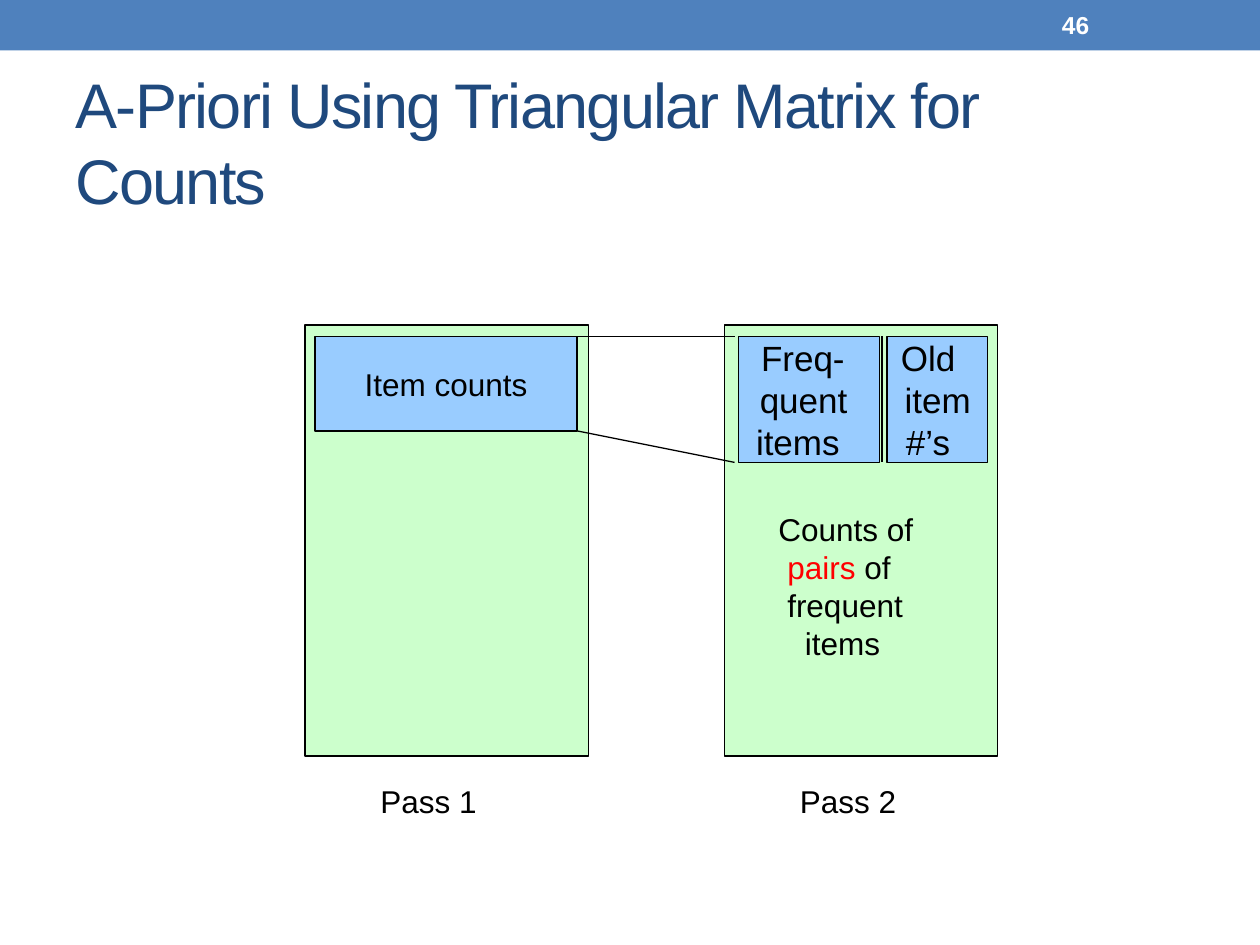
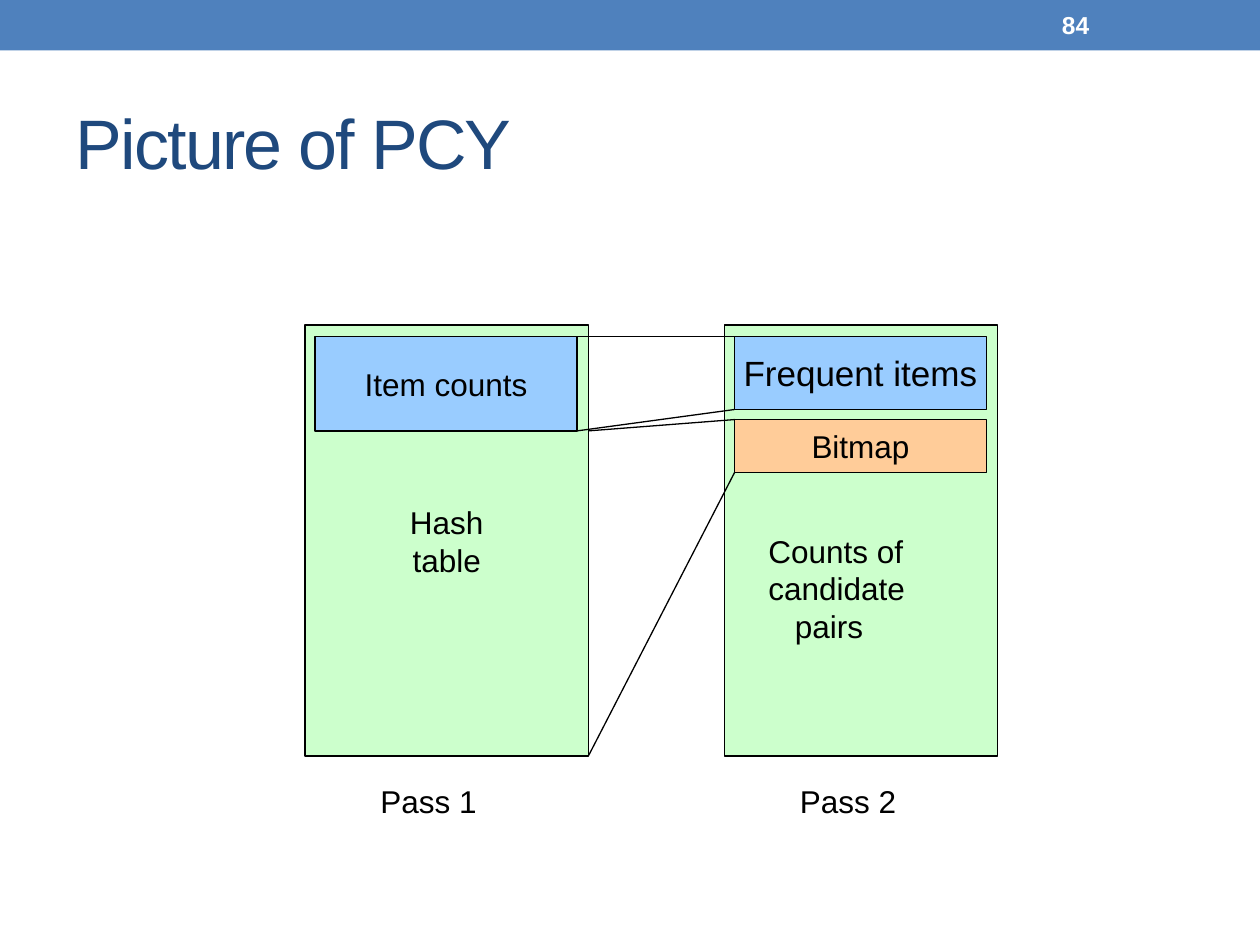
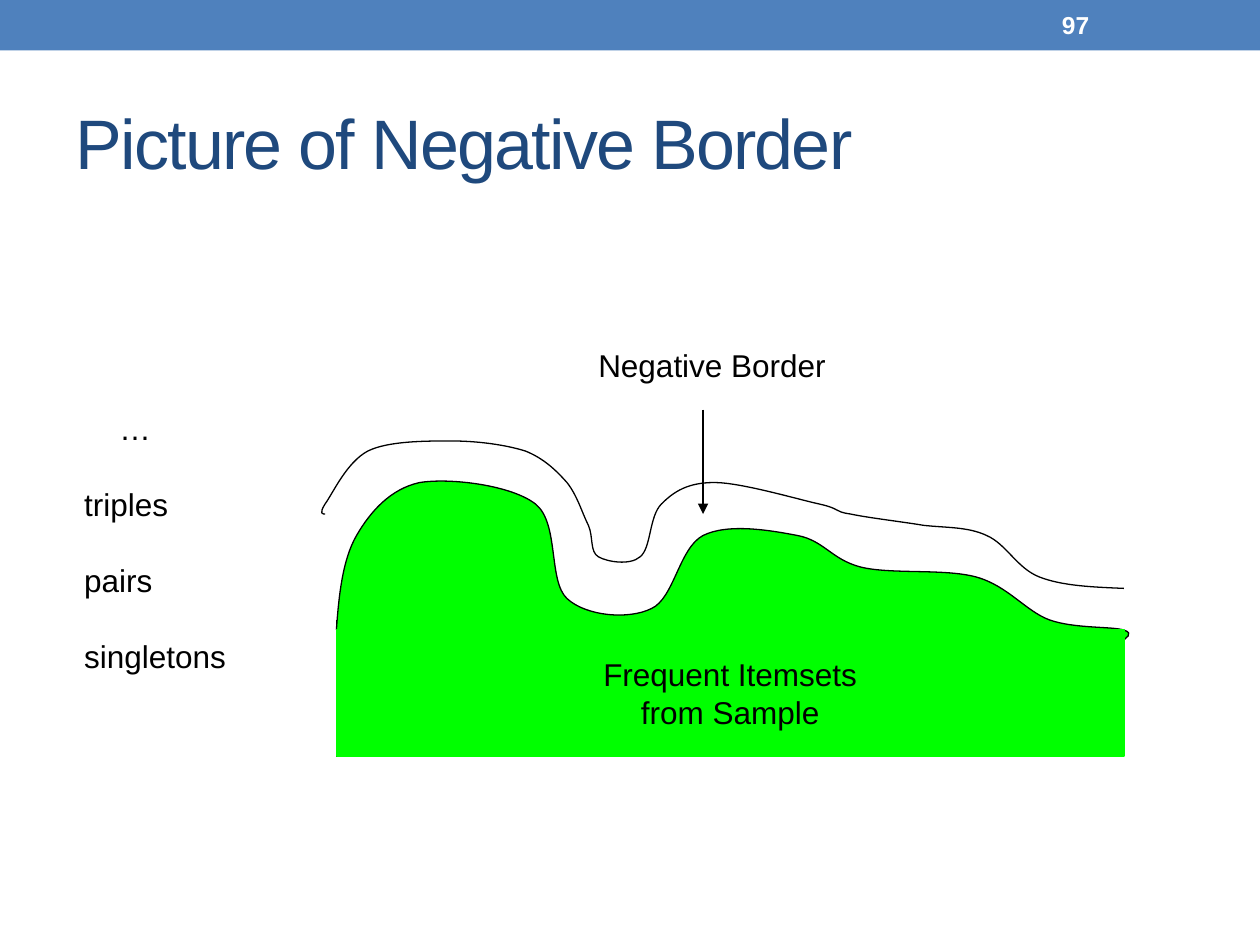
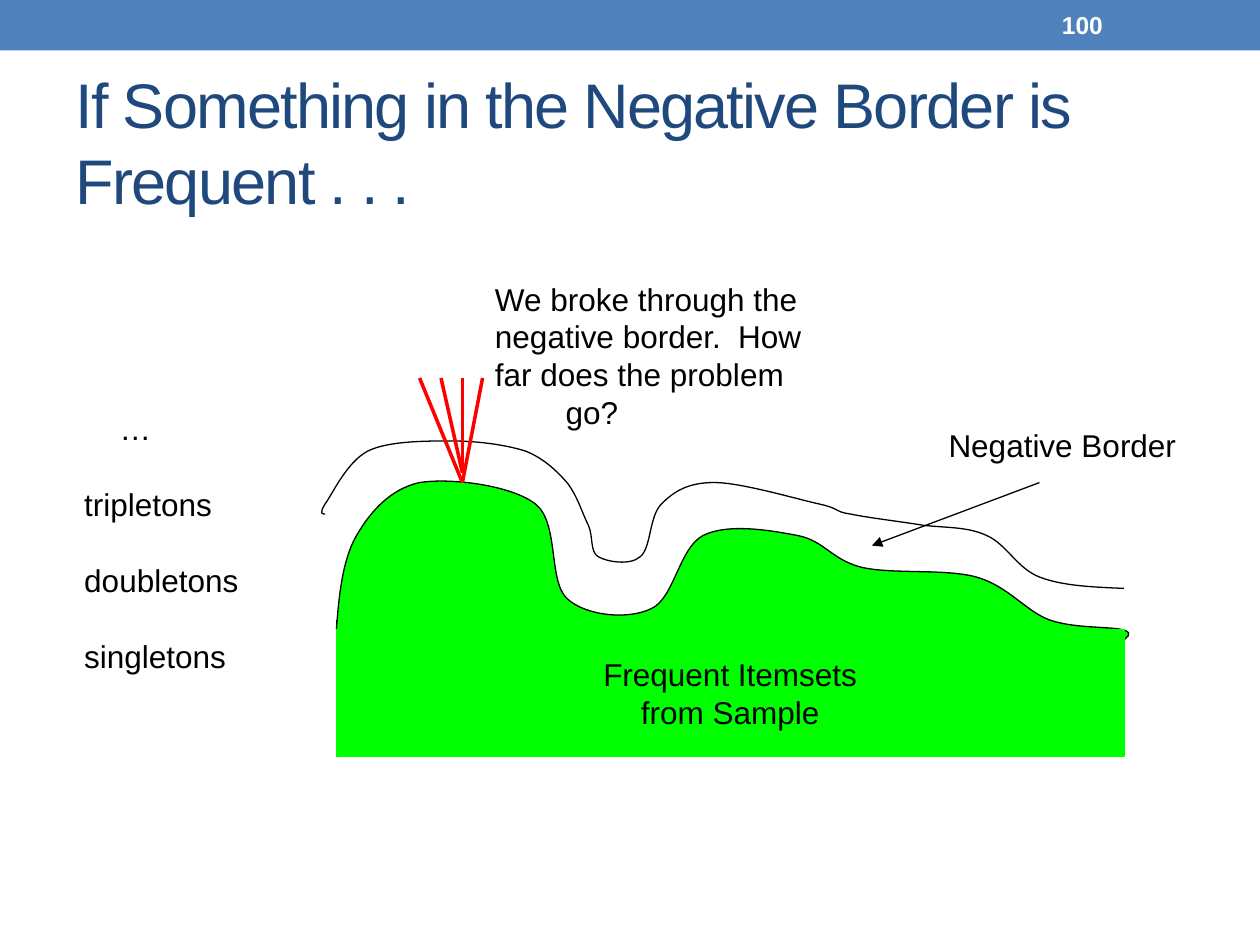
from dataclasses import dataclass

from lxml import etree
from pptx import Presentation
from pptx.dml.color import RGBColor
from pptx.enum.shapes import MSO_CONNECTOR, MSO_SHAPE
from pptx.enum.text import MSO_ANCHOR, MSO_AUTO_SIZE, PP_ALIGN
from pptx.oxml.ns import qn
from pptx.util import Inches, Pt


@dataclass(frozen=True)
class Theme:
    font: str = "Arial"
    band: str = "4F81BD"
    title: str = "1F497D"
    white: str = "FFFFFF"
    ink: str = "000000"
    red: str = "FF0000"
    memory: str = "CCFFCC"
    items: str = "99CCFF"
    bitmap: str = "FFCC99"
    frequent: str = "00FF00"
    body: float = 18
    large: float = 20
    number: float = 14
    title_long: float = 36
    title_short: float = 40
    hairline: float = 0.75
    ray: float = 2
    line_gap: float = 21.7


T = Theme()

# A text line is a string, or (indent in inches, [(run text, colour), ...]).
BAND = (0, 0, 10, 0.4)
NUMBER = (8.33, 0.02, 1.17, 0.36)
TITLE = (0.5, 0.58, 9, 1.08)
PASS_1 = (2.42, 2.58, 2.25, 3.42)
PASS_2 = (5.75, 2.58, 2.17, 3.42)
ITEM_COUNTS = (2.5, 2.67, 2.08, 0.75)
PASS_LABELS = [(2.92, "Pass 1"), (6.25, "Pass 2")]

TRIANGULAR = {
    "number": "46",
    "title": "A-Priori Using Triangular Matrix for Counts",
    "title_size": T.title_long,
    "pass_1": [],
    "boxes": [],
    "tables": [
        ((5.86, 2.67, 1.12, 1), [(0.18, [("Freq-", T.ink)]),
                                 (0.17, [("quent", T.ink)]),
                                 (0.14, [("items", T.ink)])]),
        ((7.04, 2.67, 0.8, 1), [(0.11, [("Old", T.ink)]),
                                (0.14, [("item", T.ink)]),
                                (0.15, [("#’s", T.ink)])]),
    ],
    "lines": [((4.58, 3.42), (5.83, 3.67)),
              ((4.58, 2.67), (5.83, 2.67)),
              ((7, 2.67), (7, 3.67))],
    "counts": ((6.08, 4, 1.28, 1.31),
               ["Counts of",
                (0.07, [("pairs", T.red), (" of", T.ink)]),
                (0.07, [("frequent", T.ink)]),
                (0.21, [("items", T.ink)])]),
}

PCY = {
    "number": "84",
    "title": "Picture of PCY",
    "title_size": T.title_short,
    "pass_1": ["Hash", "table"],
    "boxes": [((5.83, 3.33, 2, 0.42), T.bitmap, ["Bitmap"], T.body),
              ((5.83, 2.67, 2, 0.58), T.items, ["Frequent items"], T.large)],
    "tables": [],
    "lines": [((4.58, 3.42), (5.83, 3.25)),
              ((4.67, 6), (5.83, 3.75)),
              ((4.58, 2.67), (5.83, 2.67)),
              ((4.67, 3.42), (5.83, 3.33))],
    "counts": ((6, 4.17, 1.62, 1.3),
               ["Counts of", "candidate", (0.21, [("pairs", T.ink)])]),
}

DOTS = (0.28, [("…", T.ink)])

BORDER = {
    "number": "97",
    "title": "Picture of Negative Border",
    "title_size": T.title_short,
    "levels": ((0.57, 3.2, 1.34, 2.22), [DOTS, "triples", "pairs", "singletons"]),
    "label": (4.65, 2.7, 2.57, 0.5),
    "arrow": ((5.58, 3.25), (5.58, 4.08)),
    "rays": [],
    "question": None,
}

BROKEN = {
    "number": "100",
    "title": "If Something in the Negative Border is Frequent . . .",
    "title_size": T.title_long,
    "levels": ((0.57, 3.2, 1.81, 2.9), [DOTS, "tripletons", "doubletons", "singletons"]),
    "label": (7.43, 3.33, 2.57, 0.5),
    "arrow": ((8.25, 3.83), (6.92, 4.33)),
    "rays": [((3.67, 3.83), (3.33, 3)), ((3.67, 3.75), (3.5, 3)),
             ((3.67, 3.75), (3.67, 3)), ((3.67, 3.83), (3.83, 3))],
    "question": ((3.83, 2.17, 3.48, 1.7),
                 ["We broke through the", "negative border.  How",
                  "far does the problem", (0.56, [("go?", T.ink)])]),
}

# Each curve is a start point, then Bezier pieces: two controls and an end.
FREQUENT_CURVE = ((2.67, 5), [
    ((2.69, 4.72), (2.72, 4.44), (2.83, 4.25)),
    ((2.94, 4.06), (3.1, 3.88), (3.33, 3.83)),
    ((3.57, 3.79), (4.06, 3.85), (4.25, 4)),
    ((4.44, 4.15), (4.35, 4.61), (4.5, 4.75)),
    ((4.65, 4.89), (4.99, 4.92), (5.17, 4.83)),
    ((5.35, 4.75), (5.39, 4.35), (5.58, 4.25)),
    ((5.78, 4.15), (6.12, 4.21), (6.33, 4.25)),
    ((6.54, 4.29), (6.6, 4.44), (6.83, 4.5)),
    ((7.07, 4.56), (7.5, 4.51), (7.75, 4.58)),
    ((8, 4.65), (8.14, 4.85), (8.33, 4.92)),
    ((8.53, 4.99), (8.82, 4.97), (8.92, 5)),
    ((9.01, 5.03), (8.92, 5.07), (8.92, 5.08)),
])
BORDER_CURVE = ((2.58, 4.08), [
    ((2.56, 4.08), (2.53, 4.08), (2.58, 4)),
    ((2.64, 3.92), (2.75, 3.67), (2.92, 3.58)),
    ((3.08, 3.5), (3.38, 3.5), (3.58, 3.5)),
    ((3.79, 3.5), (4.01, 3.53), (4.17, 3.58)),
    ((4.32, 3.64), (4.42, 3.74), (4.5, 3.83)),
    ((4.58, 3.93), (4.62, 4.07), (4.67, 4.17)),
    ((4.71, 4.26), (4.68, 4.38), (4.75, 4.42)),
    ((4.82, 4.46), (5, 4.49), (5.08, 4.42)),
    ((5.17, 4.35), (5.15, 4.1), (5.25, 4)),
    ((5.35, 3.9), (5.46, 3.83), (5.67, 3.83)),
    ((5.88, 3.83), (6.32, 3.96), (6.5, 4)),
    ((6.68, 4.04), (6.61, 4.06), (6.75, 4.08)),
    ((6.89, 4.11), (7.15, 4.14), (7.33, 4.17)),
    ((7.51, 4.19), (7.68, 4.18), (7.83, 4.25)),
    ((7.99, 4.32), (8.07, 4.51), (8.25, 4.58)),
    ((8.43, 4.65), (8.67, 4.66), (8.92, 4.67)),
])

SAMPLE = (2.67, 5, 6.25, 1)
SAMPLE_EDGES = [((2.67, 6), (8.92, 6)), ((2.67, 6), (2.67, 4.92)),
                ((8.92, 5), (8.92, 6))]


def rgb(color):
    return RGBColor.from_string(color)


def inches(values):
    return [Inches(v) for v in values]


def write(tf, lines, size=T.body, color=T.ink, align=PP_ALIGN.LEFT, bold=False, gap=0):
    """Fill a text frame, one paragraph per line, gap points apart."""
    for i, line in enumerate(lines):
        indent, runs = (0, [(line, color)]) if isinstance(line, str) else line
        p = tf.add_paragraph() if i else tf.paragraphs[0]
        p.alignment = align
        if i and gap:
            p.space_before = Pt(gap)
        if indent:
            pPr = p._p.get_or_add_pPr()
            pPr.set("marL", str(Inches(indent)))
            pPr.set("indent", "0")
        for text, run_color in runs:
            r = p.add_run()
            r.text = text
            r.font.name, r.font.size, r.font.bold = T.font, Pt(size), bold
            r.font.color.rgb = rgb(run_color)


def style(sp, fill, line, width=T.hairline):
    sp.shadow.inherit = False
    if fill:
        sp.fill.solid()
        sp.fill.fore_color.rgb = rgb(fill)
    else:
        sp.fill.background()
    if line:
        sp.line.color.rgb = rgb(line)
        sp.line.width = Pt(width)
    else:
        sp.line.fill.background()


def add_box(s, at, fill, lines=(), size=T.body, line=T.ink, width=T.hairline):
    sp = s.shapes.add_shape(MSO_SHAPE.RECTANGLE, *inches(at))
    style(sp, fill, line, width)
    tf = sp.text_frame
    tf.word_wrap = False
    tf.vertical_anchor = MSO_ANCHOR.MIDDLE
    write(tf, lines, size, align=PP_ALIGN.CENTER)
    return sp


def add_table_box(s, at, lines):
    """Box whose lines are each placed by their own indent."""
    tf = add_box(s, at, T.items).text_frame
    tf.word_wrap = True
    tf.margin_left = tf.margin_right = 0
    write(tf, lines, T.large)


def add_label(s, at, lines, gap=0):
    tf = s.shapes.add_textbox(*inches(at)).text_frame
    tf.word_wrap = False
    tf.auto_size = MSO_AUTO_SIZE.SHAPE_TO_FIT_TEXT
    write(tf, lines, gap=gap)


def add_line(s, start, end, color=T.ink, width=T.hairline, arrow=False):
    cx = s.shapes.add_connector(MSO_CONNECTOR.STRAIGHT, *inches(start + end))
    cx.line.color.rgb = rgb(color)
    cx.line.width = Pt(width)
    if arrow:
        ln = cx.line._get_or_add_ln()
        etree.SubElement(ln, qn("a:tailEnd"), type="triangle")
    etree.SubElement(cx._element.spPr, qn("a:effectLst"))


def add_curve(s, curve, fill=None):
    """Outline through all points, each three segments merged into one Bezier."""
    start, pieces = curve
    fb = s.shapes.build_freeform(*inches(start))
    fb.add_line_segments([inches(pt) for piece in pieces for pt in piece], close=False)
    sp = fb.convert_to_shape()
    segments = list(sp._element.iter(qn("a:lnTo")))
    for i in range(0, len(segments), 3):
        bezier = etree.Element(qn("a:cubicBezTo"))
        segments[i].addprevious(bezier)
        for segment in segments[i:i + 3]:
            bezier.append(segment[0])
            segment.getparent().remove(segment)
    style(sp, fill, T.ink)


def add_master_band(prs):
    """Draw the top band once, then move it behind everything on the master."""
    band = add_box(prs.slides[0], BAND, T.band, line=None)._element
    band.nvSpPr.cNvPr.set("id", "100")
    prs.slide_master.shapes._spTree.insert(2, band)


def new_slide(prs, content):
    """Slide with its page number and title."""
    s = prs.slides.add_slide(prs.slide_layouts[5])
    tf = s.shapes.add_textbox(*inches(NUMBER)).text_frame
    tf.word_wrap = True
    tf.vertical_anchor = MSO_ANCHOR.MIDDLE
    write(tf, [content["number"]], T.number, T.white, bold=True)

    title = s.shapes.title
    title.left, title.top, title.width, title.height = inches(TITLE)
    tf = title.text_frame
    tf.auto_size = MSO_AUTO_SIZE.NONE
    tf.vertical_anchor = MSO_ANCHOR.MIDDLE
    write(tf, [content["title"]], content["title_size"], T.title)
    tf.paragraphs[0].runs[0].font._element.set("spc", "-100")
    return s


def memory_slide(prs, content):
    """Main memory in the two passes, side by side."""
    s = new_slide(prs, content)
    add_box(s, PASS_1, T.memory, content["pass_1"])
    add_box(s, PASS_2, T.memory)
    add_box(s, ITEM_COUNTS, T.items, ["Item counts"])
    for x, text in PASS_LABELS:
        add_label(s, (x, 6.16, 1.15, 0.5), [text])
    for box in content["boxes"]:
        add_box(s, *box)
    for at, lines in content["tables"]:
        add_table_box(s, at, lines)
    for start, end in content["lines"]:
        add_line(s, start, end)
    add_label(s, *content["counts"])


def border_slide(prs, content):
    """Frequent itemsets of the sample under their negative border."""
    s = new_slide(prs, content)
    add_label(s, *content["levels"], gap=T.line_gap)
    add_curve(s, FREQUENT_CURVE, T.frequent)
    add_curve(s, BORDER_CURVE)
    add_label(s, content["label"], ["Negative Border"])
    add_line(s, *content["arrow"], arrow=True)
    for start, end in SAMPLE_EDGES:
        add_line(s, start, end)
    add_box(s, SAMPLE, T.frequent, ["Frequent Itemsets", "from Sample"],
            line=T.frequent, width=0)
    for start, end in content["rays"]:
        add_line(s, start, end, T.red, T.ray)
    if content["question"]:
        add_label(s, *content["question"])


def main():
    prs = Presentation()
    prs.slide_width, prs.slide_height = Inches(10), Inches(7.5)
    for content in (TRIANGULAR, PCY):
        memory_slide(prs, content)
    for content in (BORDER, BROKEN):
        border_slide(prs, content)
    add_master_band(prs)
    prs.save("out.pptx")


if __name__ == "__main__":
    main()
